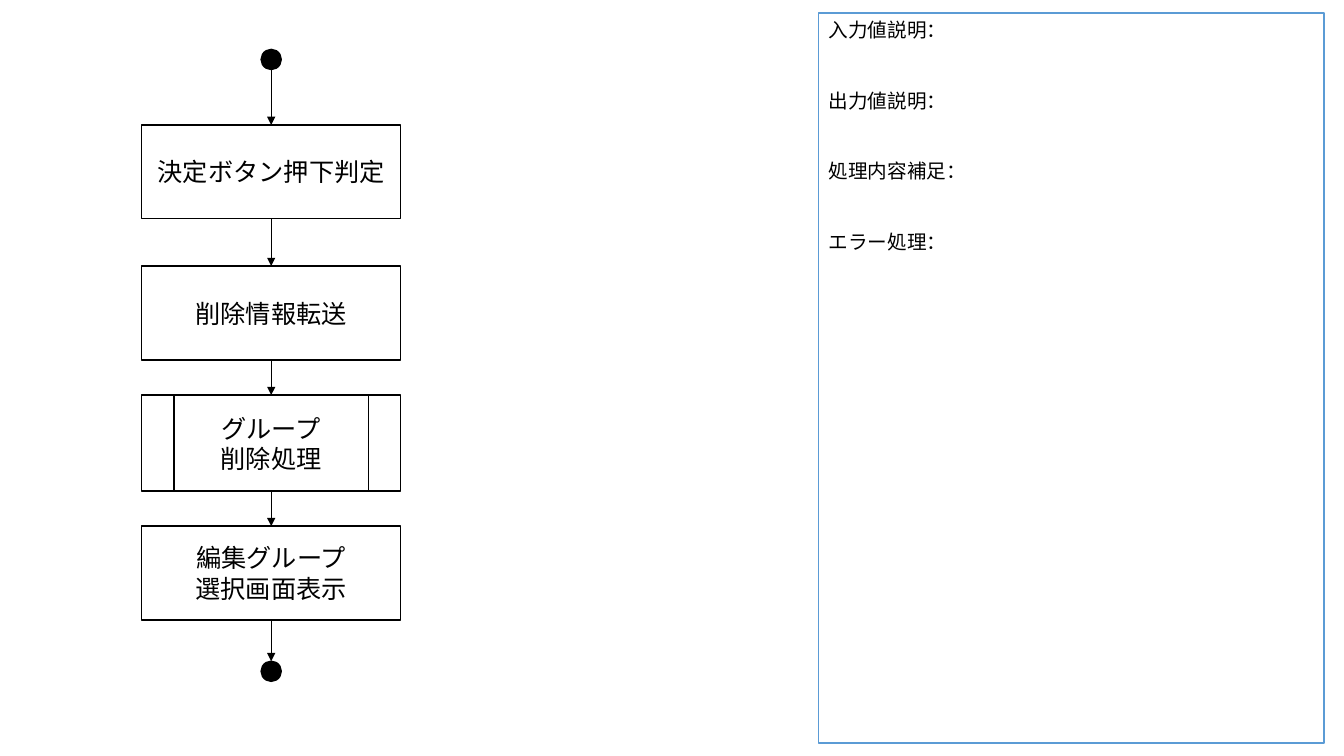
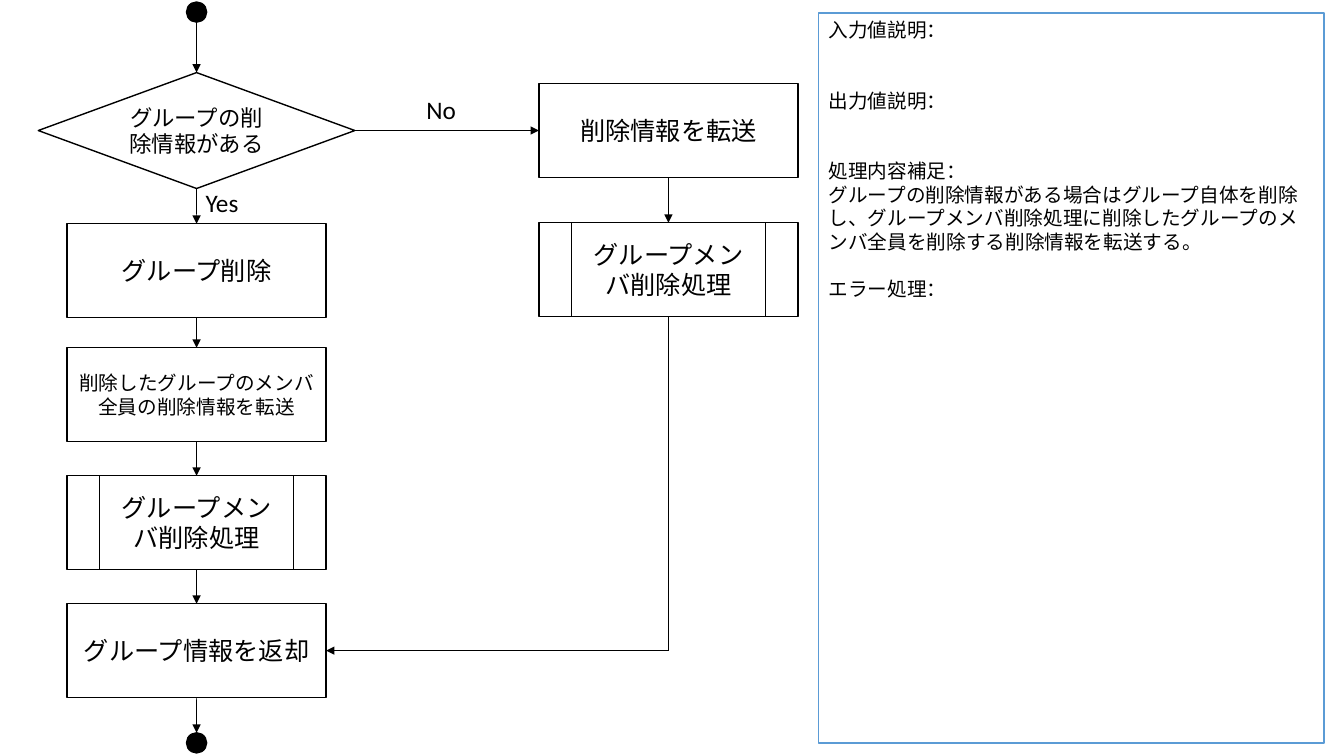
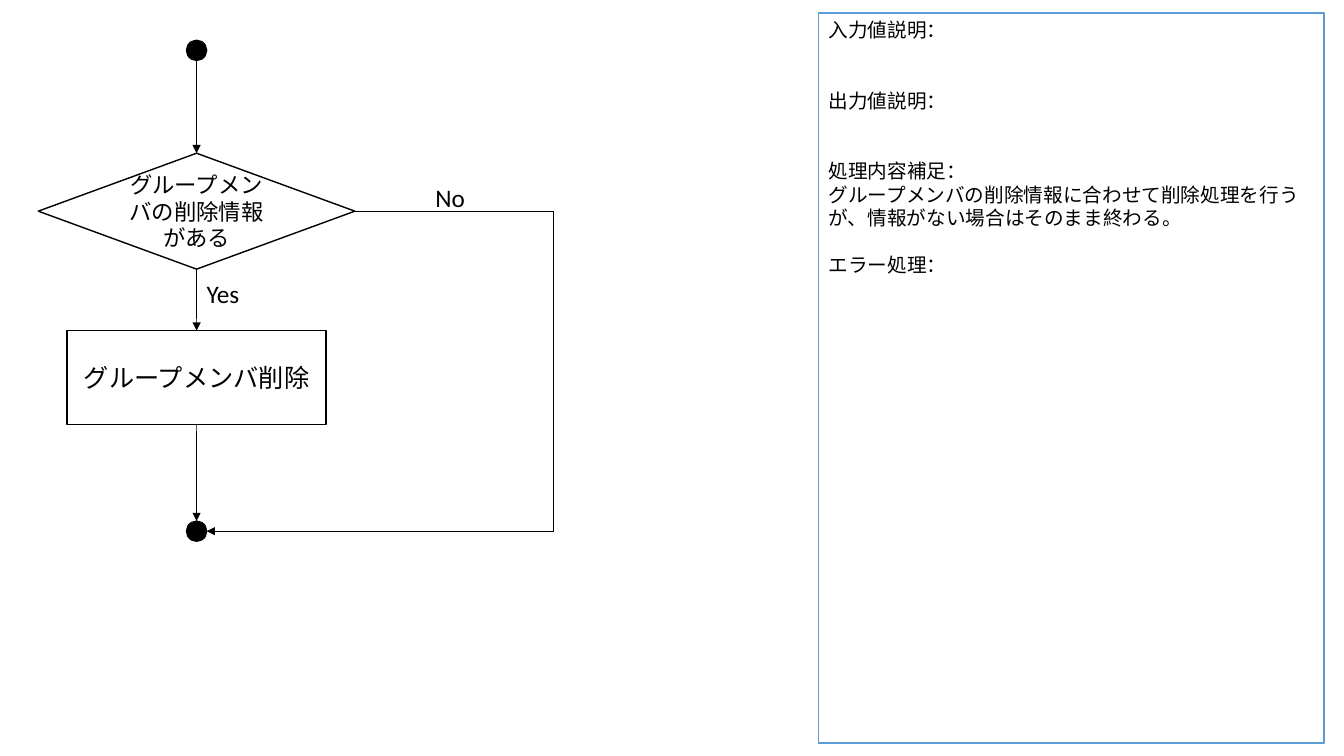
from lxml import etree
from pptx import Presentation
from pptx.dml.color import RGBColor
from pptx.enum.shapes import MSO_CONNECTOR, MSO_SHAPE
from pptx.enum.text import MSO_ANCHOR, MSO_AUTO_SIZE, PP_ALIGN
from pptx.oxml.ns import qn
from pptx.util import Inches, Pt

PROCESS = MSO_SHAPE.FLOWCHART_PROCESS
SUBPROCESS = MSO_SHAPE.FLOWCHART_PREDEFINED_PROCESS
DECISION = MSO_SHAPE.FLOWCHART_DECISION
CIRCLE = MSO_SHAPE.OVAL
STRAIGHT = MSO_CONNECTOR.STRAIGHT
CENTER, LEFT = PP_ALIGN.CENTER, PP_ALIGN.LEFT
TOP, MIDDLE = MSO_ANCHOR.TOP, MSO_ANCHOR.MIDDLE
FIT_TEXT = MSO_AUTO_SIZE.SHAPE_TO_FIT_TEXT
SIDE_TOP, SIDE_LEFT, SIDE_BOTTOM, SIDE_RIGHT = range(4)

COLORS = {"ink": "000000", "paper": "FFFFFF", "note": "5B9BD5"}
FONT = "Calibri"
STEP_WIDTH, STEP_HEIGHT = 2.57, 0.93
DECISION_WIDTH, DECISION_HEIGHT = 3.14, 1.15
DOT = 0.2
BLANK_LINE = 16.8


def color(name):
    return RGBColor.from_string(COLORS[name])


def set_format(target, values):
    for attribute, value in values.items():
        setattr(target, attribute, value)


def write(frame, lines, size, align):
    frame.word_wrap = True
    for index, line in enumerate(lines):
        paragraph = frame.paragraphs[0] if index == 0 else frame.add_paragraph()
        paragraph.alignment = align
        run = paragraph.add_run()
        set_format(run, {"text": line})
        set_format(run.font, {"name": FONT, "size": Pt(size)})
        run.font.color.rgb = color("ink")


def outlined(slide, preset, left, top, width, height, fill="paper", line="ink"):
    shape = slide.shapes.add_shape(
        preset, Inches(left), Inches(top), Inches(width), Inches(height))
    shape.shadow.inherit = False
    shape.fill.solid()
    shape.fill.fore_color.rgb = color(fill)
    shape.line.color.rgb = color(line)
    shape.line.width = Pt(1)
    return shape


def terminal(slide, center, top):
    return outlined(slide, CIRCLE, center - DOT / 2, top, DOT, DOT, fill="ink")


def step(slide, center, top, lines, preset=PROCESS, size=18,
         width=STEP_WIDTH, height=STEP_HEIGHT):
    box = outlined(slide, preset, center - width / 2, top, width, height)
    box.text_frame.vertical_anchor = MIDDLE
    write(box.text_frame, lines, size, CENTER)
    return box


def decision(slide, center, top, question):
    return step(slide, center, top, [question], DECISION, 16,
                DECISION_WIDTH, DECISION_HEIGHT)


def branch_label(slide, left, top, answer):
    label = slide.shapes.add_textbox(
        Inches(left), Inches(top), Inches(0.62), Inches(0.4))
    label.text_frame.auto_size = FIT_TEXT
    write(label.text_frame, [answer], 18, LEFT)


def notes_panel(slide, explanation=""):
    panel = outlined(slide, PROCESS, 8.12, 0.13, 5.01, 7.24, line="note")
    panel.text_frame.vertical_anchor = TOP
    sections = [("入力値説明：", ""), ("出力値説明：", ""),
                ("処理内容補足：", explanation), ("エラー処理：", "")]
    lines, gaps, gap = [], [], 0
    for heading, body in sections:
        lines.append(heading)
        gaps.append(gap)
        if body:
            lines.append(body)
            gaps.append(0)
        gap = BLANK_LINE * (1 if body else 2)
    write(panel.text_frame, lines, 14, LEFT)
    for paragraph, before in zip(panel.text_frame.paragraphs, gaps):
        paragraph.space_before = Pt(before)


def side_point(shape, side):
    middle_x = shape.left + shape.width // 2
    middle_y = shape.top + shape.height // 2
    return {SIDE_TOP: (middle_x, shape.top),
            SIDE_LEFT: (shape.left, middle_y),
            SIDE_BOTTOM: (middle_x, shape.top + shape.height),
            SIDE_RIGHT: (shape.left + shape.width, middle_y)}[side]


def segment(slide, start, end, arrow):
    line = slide.shapes.add_connector(STRAIGHT, *start, *end)
    line.line.color.rgb = color("ink")
    line.line.width = Pt(0.5)
    if arrow:
        etree.SubElement(line.line._get_or_add_ln(), qn("a:tailEnd"), type="triangle")
    etree.SubElement(line._element.spPr, qn("a:effectLst"))
    return line


def route(slide, source, source_side, target, target_side, corners=()):
    points = [side_point(source, source_side), *corners,
              side_point(target, target_side)]
    last = len(points) - 2
    lines = [segment(slide, points[i], points[i + 1], i == last)
             for i in range(last + 1)]
    if source.auto_shape_type != CIRCLE:
        lines[0].begin_connect(source, source_side)
    if target.auto_shape_type != CIRCLE:
        lines[-1].end_connect(target, target_side)


def chain(slide, shapes):
    for upper, lower in zip(shapes, shapes[1:]):
        route(slide, upper, SIDE_BOTTOM, lower, SIDE_TOP)


def delete_button_flow(slide):
    center = 2.69
    chain(slide, [
        terminal(slide, center, 0.49),
        step(slide, center, 1.24, ["決定ボタン押下判定"]),
        step(slide, center, 2.64, ["削除情報転送"]),
        step(slide, center, 3.92, ["グループ", "削除処理"], SUBPROCESS, height=0.95),
        step(slide, center, 5.22, ["編集グループ", "選択画面表示"]),
        terminal(slide, center, 6.56),
    ])
    notes_panel(slide)


def group_delete_flow(slide):
    center, branch_center = 1.95, 6.63
    member_delete = ["グループメンバ削除処理"]
    has_group = decision(slide, center, 0.72, "グループの削除情報がある")
    return_group = step(slide, center, 5.99, ["グループ情報を返却"])
    chain(slide, [
        terminal(slide, center, 0.02),
        has_group,
        step(slide, center, 2.22, ["グループ削除"]),
        step(slide, center, 3.45,
             ["削除したグループのメンバ", "全員の削除情報を転送"], size=14),
        step(slide, center, 4.72, member_delete, SUBPROCESS),
        return_group,
        terminal(slide, center, 7.27),
    ])
    transfer = step(slide, branch_center, 0.83, ["削除情報を転送"])
    branch_delete = step(slide, branch_center, 2.21, member_delete, SUBPROCESS)
    chain(slide, [transfer, branch_delete])
    route(slide, has_group, SIDE_RIGHT, transfer, SIDE_LEFT)
    corner = (side_point(branch_delete, SIDE_BOTTOM)[0],
              side_point(return_group, SIDE_RIGHT)[1])
    route(slide, branch_delete, SIDE_BOTTOM, return_group, SIDE_RIGHT, [corner])
    branch_label(slide, 1.94, 1.81, "Yes")
    branch_label(slide, 4.13, 0.89, "No")
    notes_panel(slide, "グループの削除情報がある場合はグループ自体を削除し、"
                       "グループメンバ削除処理に削除したグループのメンバ全員を"
                       "削除する削除情報を転送する。")


def member_delete_flow(slide):
    center, bypass = 1.95, Inches(5.49)
    has_members = decision(slide, center, 1.52, "グループメンバの削除情報がある")
    finish = terminal(slide, center, 5.17)
    chain(slide, [
        terminal(slide, center, 0.4),
        has_members,
        step(slide, center, 3.28, ["グループメンバ削除"]),
        finish,
    ])
    corners = [(bypass, side_point(shape, SIDE_RIGHT)[1])
               for shape in (has_members, finish)]
    route(slide, has_members, SIDE_RIGHT, finish, SIDE_RIGHT, corners)
    branch_label(slide, 1.95, 2.71, "Yes")
    branch_label(slide, 4.22, 1.76, "No")
    notes_panel(slide, "グループメンバの削除情報に合わせて削除処理を行うが、"
                       "情報がない場合はそのまま終わる。")


def main():
    deck = Presentation()
    set_format(deck, {"slide_width": Inches(13.33), "slide_height": Inches(7.5)})
    for build in (delete_button_flow, group_delete_flow, member_delete_flow):
        build(deck.slides.add_slide(deck.slide_layouts[6]))
    deck.save("out.pptx")


if __name__ == "__main__":
    main()
